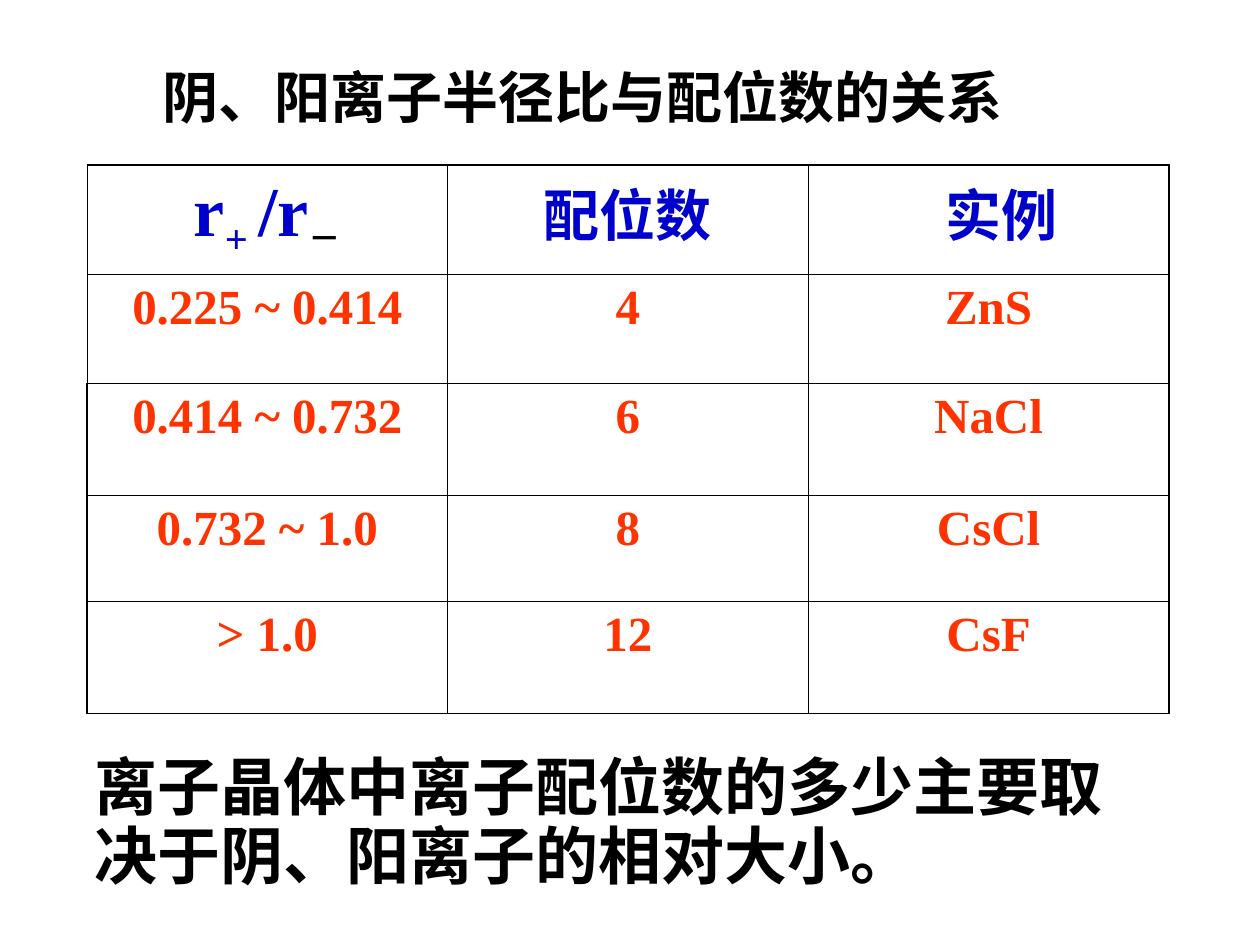
from lxml.etree import SubElement
from pptx import Presentation
from pptx.dml.color import RGBColor
from pptx.enum.text import MSO_ANCHOR, MSO_AUTO_SIZE, PP_ALIGN
from pptx.oxml.ns import qn
from pptx.util import Pt

SERIF, CHINESE = "Times New Roman", "Noto Sans CJK SC"
BLACK, BLUE, RED = "000000", "0000CC", "FF3300"
THIN, THICK = 0.45, 1.08

TITLE = "阴、阳离子半径比与配位数的关系"
CONCLUSION = "离子晶体中离子配位数的多少主要取决于阴、阳离子的相对大小。"
RATIO = {"size": 40, "font": SERIF, "color": BLUE}
HEADING = {"size": 32, "font": CHINESE, "color": BLUE}
VALUE = {"size": 28, "font": SERIF, "color": RED}
HEADER = [
    [
        ("r", RATIO),
        ("+ ", {**RATIO, "baseline": -25}),
        ("/r", RATIO),
        ("－", {"size": 32, "font": "Lato", "color": BLACK, "baseline": -25}),
    ],
    [("配位数", HEADING)],
    [("实例", HEADING)],
]
VALUES = [
    ("0.225 ~ 0.414", "4", "ZnS"),
    ("0.414 ~ 0.732", "6", "NaCl"),
    ("0.732 ~ 1.0", "8", "CsCl"),
    ("> 1.0", "12", "CsF"),
]
ROWS = HEADER, *[[[(text, VALUE)] for text in row] for row in VALUES]
ROW_HEIGHTS = 62.4, 62.4, 64, 60.6, 64
COLUMN_WIDTH = 206.1


def rgb(color):
    """Turn a hex string into a colour."""
    return RGBColor.from_string(color)


def add_text(para, text, size=32, font=CHINESE, color=BLACK, baseline=0):
    """Add one bold span to a paragraph."""
    span = para.add_run()
    span.text = text
    span.font.size, span.font.name, span.font.bold = Pt(size), font, True
    span.font.color.rgb = rgb(color)
    properties = span.font._element
    SubElement(properties, qn("a:ea"), typeface=CHINESE)
    if baseline:
        properties.set("baseline", str(baseline * 1000))


def set_border(cell, side, width):
    """Draw one black edge of a table cell."""
    properties = cell._tc.get_or_add_tcPr()
    line = SubElement(properties, qn(f"a:ln{side}"), w=str(Pt(width)))
    fill = SubElement(line, qn("a:solidFill"))
    SubElement(fill, qn("a:srgbClr"), val=BLACK)


def place_text(box, left, top, width, height, text, indent=0, line=None, **style):
    """Move a placeholder and fill it with one left-aligned paragraph."""
    box.left, box.top, box.width, box.height = map(Pt, (left, top, width, height))
    frame = box.text_frame
    frame.word_wrap, frame.auto_size = True, MSO_AUTO_SIZE.NONE
    frame.margin_left = Pt(7.2 + indent)
    frame.vertical_anchor = MSO_ANCHOR.MIDDLE if line is None else MSO_ANCHOR.TOP
    para = frame.paragraphs[0]
    para.alignment, para.space_before = PP_ALIGN.LEFT, Pt(0)
    if line:
        para.line_spacing = Pt(line)
    properties = para._p.get_or_add_pPr()
    properties.set("marL", "0")
    properties.set("indent", "0")
    SubElement(properties, qn("a:buNone"))
    add_text(para, text, **style)


def add_ratio_table(page):
    """Add the table of radius ratios and coordination numbers."""
    last_row, last_column = len(ROWS) - 1, len(HEADER) - 1
    table = page.shapes.add_table(
        len(ROWS), len(HEADER), Pt(49.7), Pt(94.3),
        Pt(COLUMN_WIDTH * len(HEADER)), Pt(sum(ROW_HEIGHTS)),
    ).table
    table.first_row = table.horz_banding = False
    for column in table.columns:
        column.width = Pt(COLUMN_WIDTH)
    for r, (height, row) in enumerate(zip(ROW_HEIGHTS, ROWS)):
        table.rows[r].height = Pt(height)
        for c, spans in enumerate(row):
            cell = table.cell(r, c)
            thick = {
                "L": c == 0 and r > 1,
                "R": c == last_column,
                "T": r == 0,
                "B": r == last_row,
            }
            for side, is_thick in thick.items():
                set_border(cell, side, THICK if is_thick else THIN)
            cell.fill.background()
            para = cell.text_frame.paragraphs[0]
            para.alignment = PP_ALIGN.CENTER
            for text, style in spans:
                add_text(para, text, **style)
    table.cell(0, last_column).margin_left = Pt(22)


def main():
    """Build and save the slide."""
    deck = Presentation()
    deck.slide_width, deck.slide_height = Pt(720), Pt(540)
    page = deck.slides.add_slide(deck.slide_layouts[1])
    page.background.fill.solid()
    page.background.fill.fore_color.rgb = rgb("FFFFFF")
    place_text(page.shapes.title, 49.7, 32, 612, 46, TITLE, indent=36, font="Montserrat")
    place_text(page.placeholders[1], 46.8, 428, 618.5, 85, CONCLUSION, line=39, size=36)
    add_ratio_table(page)
    deck.save("out.pptx")


if __name__ == "__main__":
    main()
